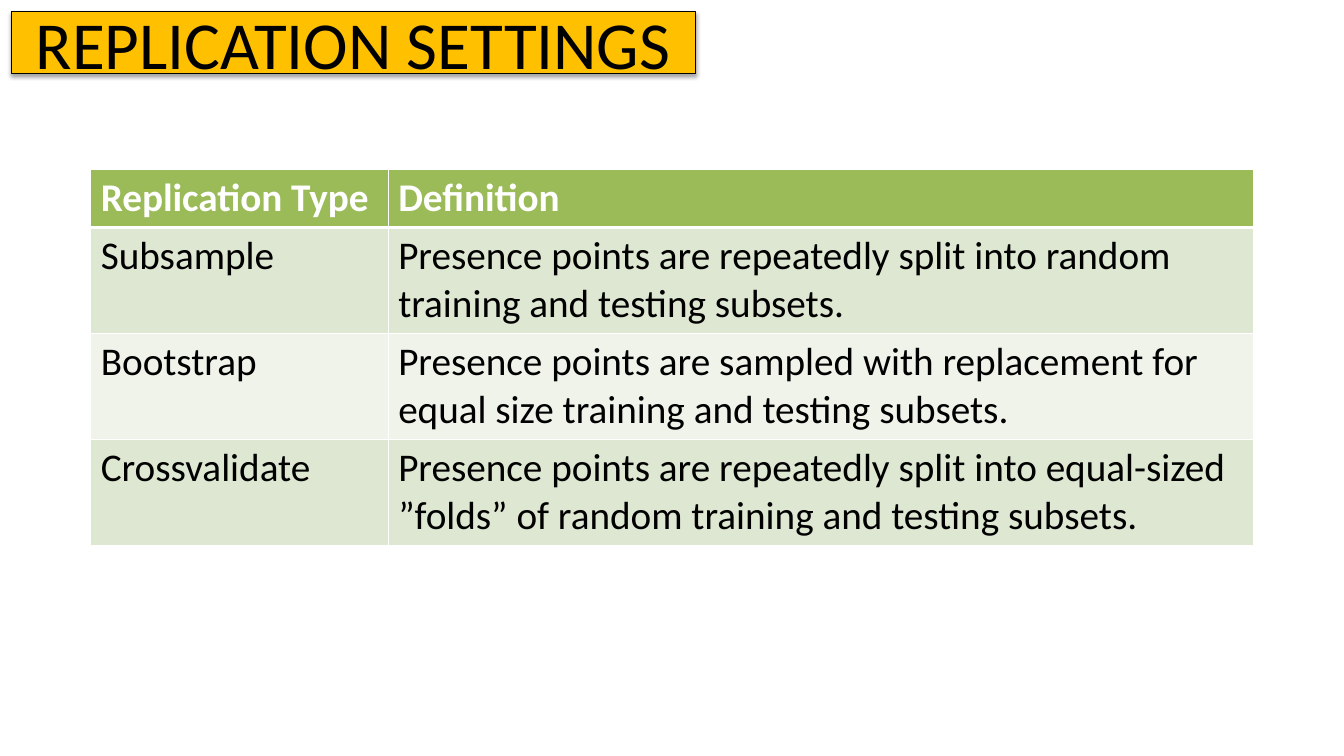
from dataclasses import dataclass

from lxml.etree import SubElement
from pptx import Presentation
from pptx.dml.color import RGBColor
from pptx.enum.shapes import MSO_SHAPE
from pptx.enum.text import MSO_ANCHOR, PP_ALIGN
from pptx.oxml.ns import qn
from pptx.slide import Slide
from pptx.table import _Cell
from pptx.text.text import TextFrame
from pptx.util import Inches, Pt

COLORS = {
    "black": "000000",
    "white": "FFFFFF",
    "amber": "FFC000",
    "green": "9BBB59",
    "green_band": "DEE7D1",
    "pale_band": "EFF3EA",
}


@dataclass
class TableRow:
    replication_type: str
    definition: str
    fill: str
    height: float = 1.05
    color: str = "black"
    bold: bool = False
    top_border: float = 1
    bottom_border: float = 1


ROWS = [
    TableRow("Replication Type", "Definition", "green", height=0.57,
             color="white", bold=True, bottom_border=3),
    TableRow("Subsample",
             "Presence points are repeatedly split into random training and testing subsets.",
             "green_band", top_border=3),
    TableRow("Bootstrap",
             "Presence points are sampled with replacement for equal size training and testing subsets.",
             "pale_band"),
    TableRow("Crossvalidate",
             "Presence points are repeatedly split into equal-sized ”folds” of random training and testing subsets.",
             "green_band"),
]
COLUMN_WIDTHS = [2.95, 8.58]


def rgb(name: str) -> RGBColor:
    return RGBColor.from_string(COLORS[name])


def write_text(frame: TextFrame, text: str, *, size: float, color: str = "black",
               bold: bool = False, align: PP_ALIGN = PP_ALIGN.LEFT) -> None:
    frame.word_wrap = True
    paragraph = frame.paragraphs[0]
    paragraph.alignment = align
    run = paragraph.add_run()
    run.text = text
    run.font.name = "Calibri"
    run.font.size = Pt(size)
    run.font.bold = bold
    run.font.color.rgb = rgb(color)


def add_title(slide: Slide, text: str) -> None:
    shape = slide.shapes.add_shape(
        MSO_SHAPE.RECTANGLE, Inches(0.11), Inches(0.11), Inches(6.79), Inches(0.62))
    shape.fill.solid()
    shape.fill.fore_color.rgb = rgb("amber")
    shape.line.color.rgb = rgb("black")
    shape.line.width = Pt(0.75)
    shape.shadow.inherit = False
    effects = shape.element.spPr.find(qn("a:effectLst"))
    shadow = SubElement(effects, qn("a:outerShdw"), blurRad=str(Pt(3.1)),
                        dist=str(Pt(1.8)), dir="5400000", rotWithShape="0")
    shadow_color = SubElement(shadow, qn("a:srgbClr"), val=COLORS["black"])
    SubElement(shadow_color, qn("a:alpha"), val="35000")
    shape.text_frame.vertical_anchor = MSO_ANCHOR.MIDDLE
    write_text(shape.text_frame, text, size=48, align=PP_ALIGN.CENTER)


def add_borders(cell: _Cell, row: TableRow) -> None:
    properties = cell._tc.get_or_add_tcPr()
    widths = {"lnL": 1, "lnR": 1, "lnT": row.top_border, "lnB": row.bottom_border}
    for side, width in widths.items():
        line = SubElement(properties, qn(f"a:{side}"), w=str(Pt(width)))
        fill = SubElement(line, qn("a:solidFill"))
        SubElement(fill, qn("a:srgbClr"), val=COLORS["white"])


def add_replication_table(slide: Slide, rows: list[TableRow]) -> None:
    table = slide.shapes.add_table(
        len(rows), len(COLUMN_WIDTHS), Inches(0.9), Inches(1.68),
        Inches(sum(COLUMN_WIDTHS)), Inches(sum(row.height for row in rows))).table
    for column, width in zip(table.columns, COLUMN_WIDTHS):
        column.width = Inches(width)
    for row_index, row in enumerate(rows):
        table.rows[row_index].height = Inches(row.height)
        for column_index, text in enumerate((row.replication_type, row.definition)):
            cell = table.cell(row_index, column_index)
            add_borders(cell, row)
            cell.fill.solid()
            cell.fill.fore_color.rgb = rgb(row.fill)
            write_text(cell.text_frame, text, size=28, color=row.color, bold=row.bold)


def main() -> None:
    """Build the replication settings slide."""
    presentation = Presentation()
    presentation.slide_width = Inches(13.33)
    presentation.slide_height = Inches(7.5)
    slide = presentation.slides.add_slide(presentation.slide_layouts[6])
    add_title(slide, "REPLICATION SETTINGS")
    add_replication_table(slide, ROWS)
    presentation.save("out.pptx")


if __name__ == "__main__":
    main()
